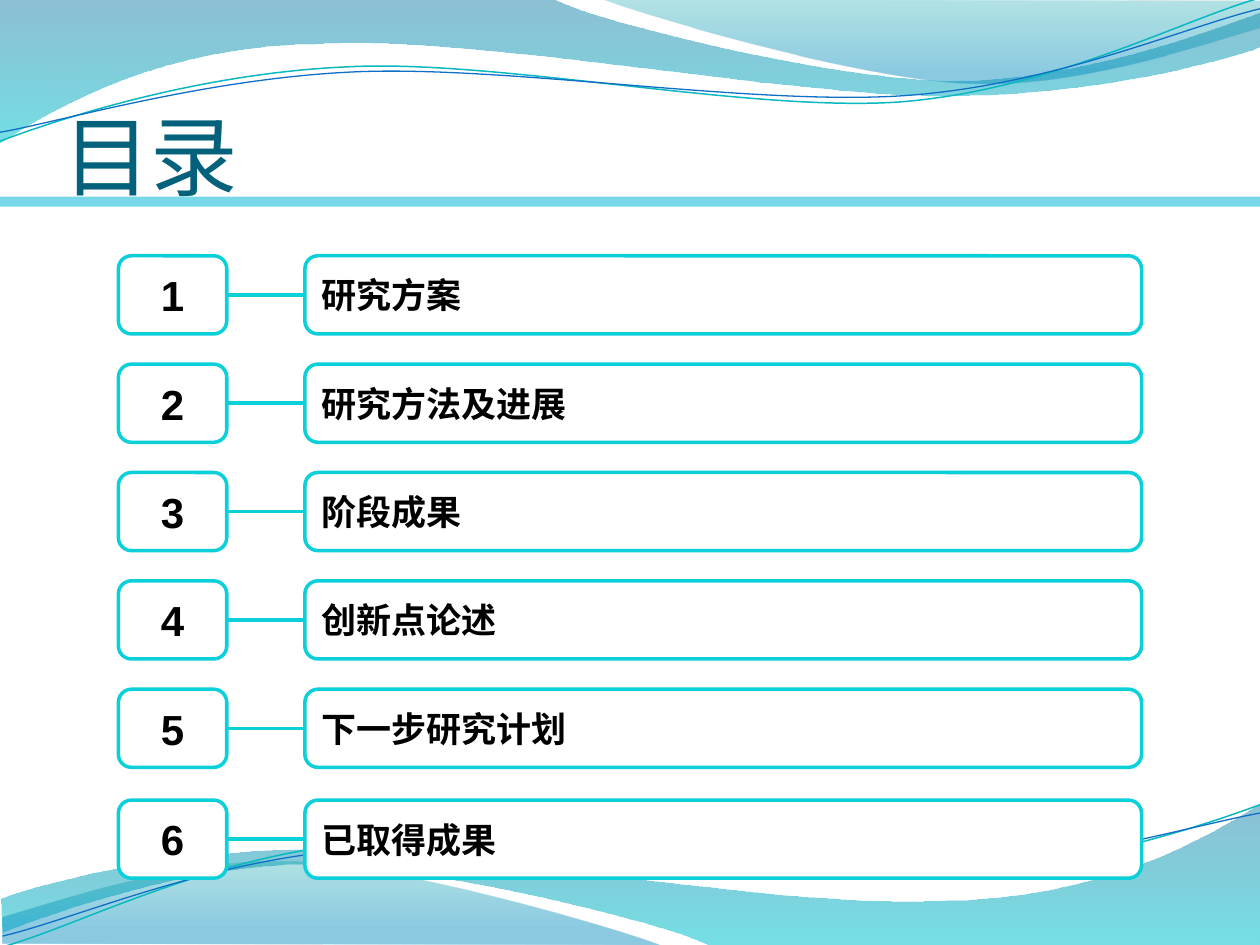
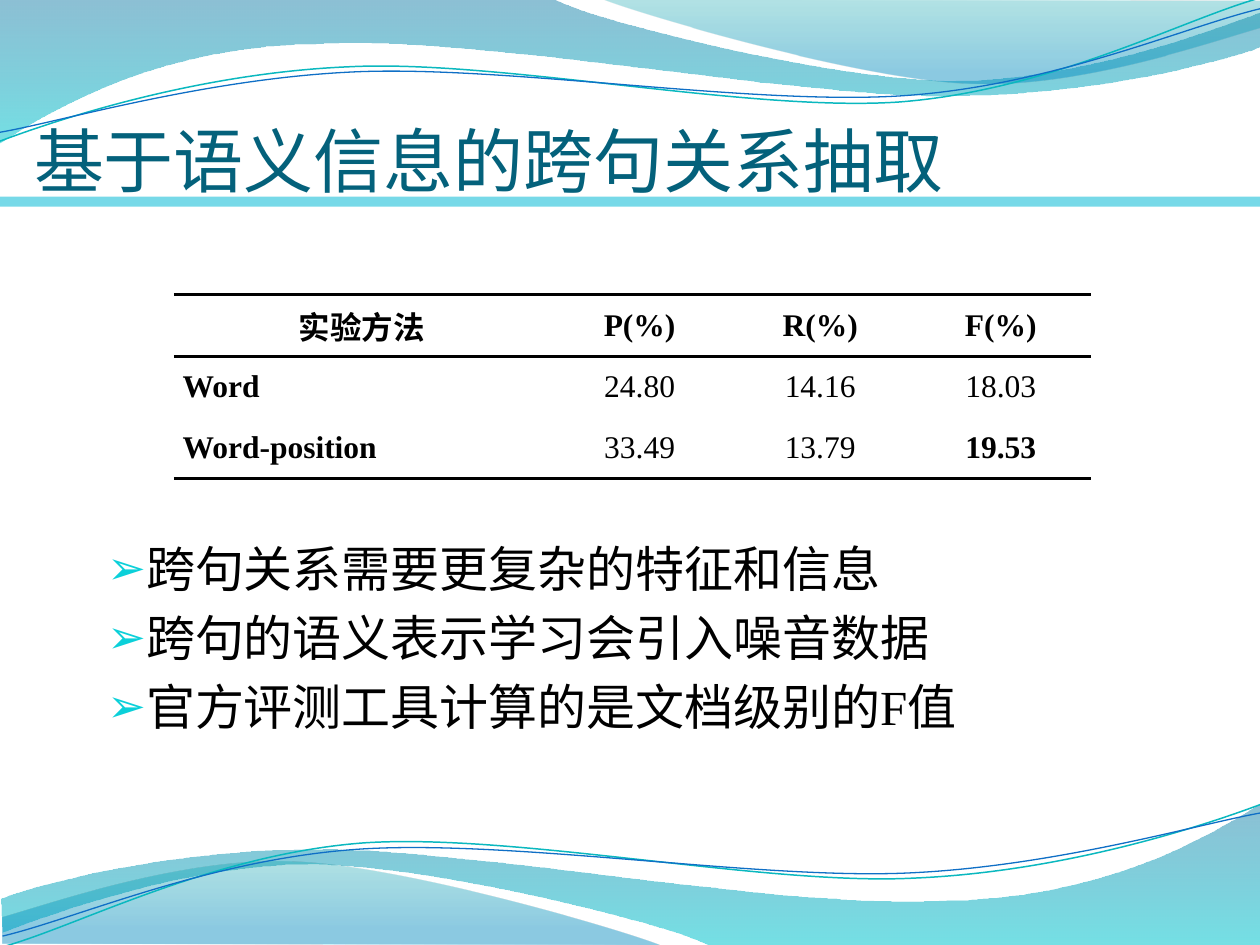
from dataclasses import dataclass
from math import cos, radians, sin

from lxml import etree
from pptx import Presentation
from pptx.dml.color import RGBColor
from pptx.enum.lang import MSO_LANGUAGE_ID
from pptx.enum.shapes import MSO_CONNECTOR, MSO_SHAPE
from pptx.enum.text import MSO_ANCHOR, MSO_AUTO_SIZE, PP_ALIGN
from pptx.oxml.ns import qn
from pptx.util import Inches, Pt

ROUND, RECT = MSO_SHAPE.ROUNDED_RECTANGLE, MSO_SHAPE.RECTANGLE
STRAIGHT = MSO_CONNECTOR.STRAIGHT
LEFT, CENTER = PP_ALIGN.LEFT, PP_ALIGN.CENTER
MIDDLE, BOTTOM = MSO_ANCHOR.MIDDLE, MSO_ANCHOR.BOTTOM
NO_FIT = MSO_AUTO_SIZE.NONE
CHINESE = MSO_LANGUAGE_ID.SIMPLIFIED_CHINESE
NO_GRID = "{2D5ABB26-0587-4C30-8999-92F81FD0307C}"
WIDE, HIGH = 10, 7.5
TILT = 2.7


@dataclass(frozen=True)
class Theme:
    """Colours, fonts and type sizes of the deck."""
    ink: str = "000000"
    paper: str = "FFFFFF"
    title: str = "04617B"
    accent: str = "0BD0D9"
    band: str = "77D9E8"
    teal: str = "0AB8BF"
    blue: str = "0F6FC6"
    outer: tuple = ((0, "0074A1", 45), (1, "00C6CF", 55))
    inner: tuple = ((0, "00A1A9", 30), (0.8, "008BBF", 45))
    head: str = "Calibri"
    sans: str = "Arial"
    serif: str = "Times New Roman"
    han: str = "Noto Sans CJK SC"
    big: int = 50
    large: int = 40
    body: int = 28
    digit: int = 24
    item: int = 20
    cell: int = 18


T = Theme()

# Each outline: a start point, then points (line) or six numbers (curve).
OUTER = [(0, 0), (4.4, 0), (4.76, 0.18, 6.64, 0.64, 7.58, 0.64),
         (8.53, 0.64, 9.58, 0.26, 10, 0.1), (10.01, 0.37),
         (9.83, 0.45, 8.7, 0.77, 7.46, 0.76),
         (6.22, 0.76, 3.82, 0.29, 2.57, 0.35),
         (1.29, 0.36, 0.46, 0.84, -0.01, 1.14), (0, 0)]
INNER = [(4.79, 0), (5.09, 0.12, 6.82, 0.63, 7.69, 0.66),
         (8.56, 0.7, 9.61, 0.33, 10, 0.22), (10, 0.01), (4.79, 0)]
TEAL = [(0, 1.12), (0.48, 0.94, 1.58, 0.58, 2.77, 0.53),
        (3.95, 0.47, 5.93, 0.89, 7.13, 0.81),
        (8.33, 0.72, 9.38, 0.16, 9.98, -0.01)]
BLUE = [(0, 1.05), (0.47, 0.97, 1.64, 0.62, 2.83, 0.57),
        (4.03, 0.52, 5.97, 0.84, 7.17, 0.76),
        (8.36, 0.68, 9.41, 0.21, 10, 0.07)]


def rgb(code):
    """Turn a hex code into a colour."""
    return RGBColor.from_string(code)


def apply(target, values):
    """Set every attribute named in a dict."""
    for name, value in values.items():
        setattr(target, name, value)


def write(para, text, size, font, color, bold=False, align=LEFT):
    """Put one formatted run into a paragraph."""
    para.alignment = align
    run = para.add_run()
    run.text = text
    apply(run.font, {"size": Pt(size), "name": font, "bold": bold,
                     "language_id": CHINESE})
    run.font.color.rgb = rgb(color)


def paint(shape, fill=None, line=None, width=0):
    """Give a shape a plain fill and line, without shadow."""
    shape.shadow.inherit = False
    if fill:
        shape.fill.solid()
        shape.fill.fore_color.rgb = rgb(fill)
    if line:
        shape.line.color.rgb = rgb(line)
        shape.line.width = Pt(width)
    else:
        shape.line.fill.background()


def shade(shape, stops):
    """Fill a shape from top to bottom with a clear gradient."""
    shape.fill.gradient()
    shape.fill.gradient_angle = 270
    for stop, (place, color, alpha) in zip(shape.fill.gradient_stops, stops):
        stop.position = place
        stop.color.rgb = rgb(color)
    marks = shape._element.spPr.iter(qn("a:srgbClr"))
    for mark, stop in zip(list(marks), stops):
        etree.SubElement(mark, qn("a:alpha"), val=str(stop[2] * 1000))


def bend(shape, outline):
    """Join each three line segments of a curved part into one curve."""
    track = next(shape._element.spPr.iter(qn("a:path")))
    lines = iter(track.findall(qn("a:lnTo")))
    for part in outline[1:]:
        line = next(lines)
        if len(part) == 6:
            line.tag = qn("a:cubicBezTo")
            for _ in range(2):
                extra = next(lines)
                line.append(extra[0])
                track.remove(extra)


def draw(slide, outline, turn, mid=None):
    """Draw an outline at the top, or turned half round at the foot."""
    spots = [part[i:i + 2] for part in outline
             for i in range(0, len(part), 2)]
    if mid:
        c, s = cos(radians(TILT)), sin(radians(TILT))
        a, b = mid
        spots = [(a + (x - a) * c - (y - b) * s,
                  b + (x - a) * s + (y - b) * c) for x, y in spots]
    if turn:
        spots = [(WIDE + 0.02 - x, HIGH - y) for x, y in spots]
    spots = [(Inches(x), Inches(y)) for x, y in spots]
    pen = slide.shapes.build_freeform(*spots[0])
    pen.add_line_segments(spots[1:], close=mid is None)
    shape = pen.convert_to_shape()
    bend(shape, outline)
    if mid:
        shape.rotation = 360 - TILT
    return shape


def waves(slide, turn):
    """Draw one set of waves and return its shapes."""
    parts = []
    for outline, stops in ((OUTER, T.outer), (INNER, T.inner)):
        shape = draw(slide, outline, turn)
        paint(shape)
        shade(shape, stops)
        parts.append(shape)
    for outline, mid, color, width in ((TEAL, (4.99, 0.59), T.teal, 0.85),
                                       (BLUE, (5, 0.6), T.blue, 0.75)):
        shape = draw(slide, outline, turn, mid)
        paint(shape, line=color, width=width)
        shape.fill.background()
        parts.append(shape)
    return parts


def dress(master, slide):
    """Draw waves and title band, then move them to the master."""
    parts = waves(slide, False) + waves(slide, True)
    band = slide.shapes.add_shape(RECT, 0, Inches(1.56), Inches(WIDE),
                                  Inches(0.08))
    paint(band, T.band)
    for index, part in enumerate(parts + [band]):
        node = part._element
        node.nvSpPr.cNvPr.set("id", str(100 + index))
        master.shapes._spTree.insert(2 + index, node)


def place(shape, box):
    """Move a shape to a box given in inches."""
    apply(shape, dict(zip(("left", "top", "width", "height"),
                          map(Inches, box))))


def head(slide, text, box, size):
    """Fill the title placeholder."""
    title = slide.shapes.title
    place(title, box)
    frame = title.text_frame
    apply(frame, {"margin_left": 0, "margin_right": 0, "margin_bottom": 0,
                  "margin_top": Inches(0.05), "word_wrap": True,
                  "auto_size": NO_FIT, "vertical_anchor": BOTTOM})
    write(frame.paragraphs[0], text, size, T.head, T.title)


def card(group, box, text, size, align):
    """Add a rounded box with bold text."""
    shape = group.shapes.add_shape(ROUND, *map(Inches, box))
    paint(shape, T.paper, T.accent, 2)
    frame = shape.text_frame
    apply(frame, {"word_wrap": True, "vertical_anchor": MIDDLE})
    write(frame.paragraphs[0], text, size, T.sans, T.ink, True, align)


def entry(slide, box, number, text):
    """Add a numbered row: digit box, link and label box."""
    x, y, w, h = box
    small, gap = 0.86, 0.62
    start = x + small + gap
    group = slide.shapes.add_group_shape()
    card(group, (x, y, small, h), str(number), T.digit, CENTER)
    ends = (x + small, y + h / 2, start, y + h / 2)
    link = group.shapes.add_connector(STRAIGHT, *map(Inches, ends))
    link.line.color.rgb = rgb(T.accent)
    link.line.width = Pt(2)
    etree.SubElement(link._element.spPr, qn("a:effectLst"))
    card(group, (start, y, w - small - gap, h), text, T.item, LEFT)


def agenda(slide, box, items):
    """Stack the numbered rows, the last one at the foot of the box."""
    x, y, w, h = box
    tall, pitch = 0.62, 0.86
    tops = [y + i * pitch for i in range(len(items) - 1)] + [y + h - tall]
    for index, (top, text) in enumerate(zip(tops, items)):
        entry(slide, (x, top, w, tall), index + 1, text)


def rule(cell, side, shown):
    """Draw a black border on one side of a cell, or clear it."""
    line = etree.SubElement(cell._tc.get_or_add_tcPr(), qn("a:" + side),
                            w=str(Pt(2)))
    if shown:
        fill = etree.SubElement(line, qn("a:solidFill"))
        etree.SubElement(fill, qn("a:srgbClr"), val=T.ink)
    else:
        etree.SubElement(line, qn("a:noFill"))


def grid(slide, box, rows, first):
    """Add the table with rules above, below and under its head."""
    last = len(rows) - 1
    wide = len(rows[0])
    frame = slide.shapes.add_table(len(rows), wide, *map(Inches, box))
    table = frame.table
    apply(table, {"first_row": False, "horz_banding": False})
    table._tbl.tblPr.find(qn("a:tableStyleId")).text = NO_GRID
    for index, column in enumerate(table.columns):
        rest = (box[2] - first) / (wide - 1)
        column.width = Inches(rest if index else first)
    for r, row in enumerate(rows):
        table.rows[r].height = Inches(box[3] / len(rows))
        for c, text in enumerate(row):
            cell = table.cell(r, c)
            apply(cell, {"margin_left": Inches(0.07), "margin_top": 0,
                         "margin_right": Inches(0.07), "margin_bottom": 0,
                         "vertical_anchor": MIDDLE})
            rule(cell, "lnL", False)
            rule(cell, "lnR", False)
            if r != 1:
                rule(cell, "lnT", r == 0)
            rule(cell, "lnB", r in (0, last))
            cell.fill.solid()
            cell.fill.fore_color.rgb = rgb(T.paper)
            bold = r == 0 or c == 0 or (r == last and c == wide - 1)
            write(cell.text_frame.paragraphs[0], text, T.cell,
                  T.serif if r or c else T.han, T.ink, bold,
                  LEFT if r and c == 0 else CENTER)


def points(slide, box, items):
    """Fill the body placeholder with arrow bullets."""
    body = slide.placeholders[1]
    place(body, box)
    frame = body.text_frame
    apply(frame, {"word_wrap": True, "auto_size": NO_FIT})
    for index, text in enumerate(items):
        para = frame.add_paragraph() if index else frame.paragraphs[0]
        write(para, text, T.body, T.serif, T.ink)
        apply(para, {"line_spacing": Pt(34), "space_before": Pt(5.4)})
        props = para._p.get_or_add_pPr()
        props.set("marL", str(Inches(0.3)))
        props.set("indent", str(-Inches(0.3)))
        color = etree.SubElement(props, qn("a:buClr"))
        etree.SubElement(color, qn("a:srgbClr"), val=T.accent)
        etree.SubElement(props, qn("a:buSzPct"), val="95000")
        etree.SubElement(props, qn("a:buFont"), typeface=T.sans)
        etree.SubElement(props, qn("a:buChar"), char="➢")


def main():
    """Build both slides and save the deck."""
    deck = Presentation()
    apply(deck, {"slide_width": Inches(WIDE), "slide_height": Inches(HIGH)})
    plan = deck.slides.add_slide(deck.slide_layouts[5])
    dress(deck.slide_master, plan)
    head(plan, "目录", (0.5, 0.39, 9, 1.25), T.big)
    agenda(plan, (0.94, 2.03, 8.12, 4.94),
           ["研究方案", "研究方法及进展", "阶段成果", "创新点论述",
            "下一步研究计划", "已取得成果"])

    study = deck.slides.add_slide(deck.slide_layouts[1])
    head(study, "基于语义信息的跨句关系抽取", (0.27, 0.35, 9, 1.25), T.large)
    grid(study, (1.38, 2.34, 7.28, 1.46),
         [("实验方法", "P(%)", "R(%)", "F(%)"),
          ("Word", "24.80", "14.16", "18.03"),
          ("Word-position", "33.49", "13.79", "19.53")], 2.98)
    points(study, (0.75, 4.22, 7.88, 2.28),
           ["跨句关系需要更复杂的特征和信息", "跨句的语义表示学习会引入噪音数据",
            "官方评测工具计算的是文档级别的F值"])
    deck.save("out.pptx")


main()
